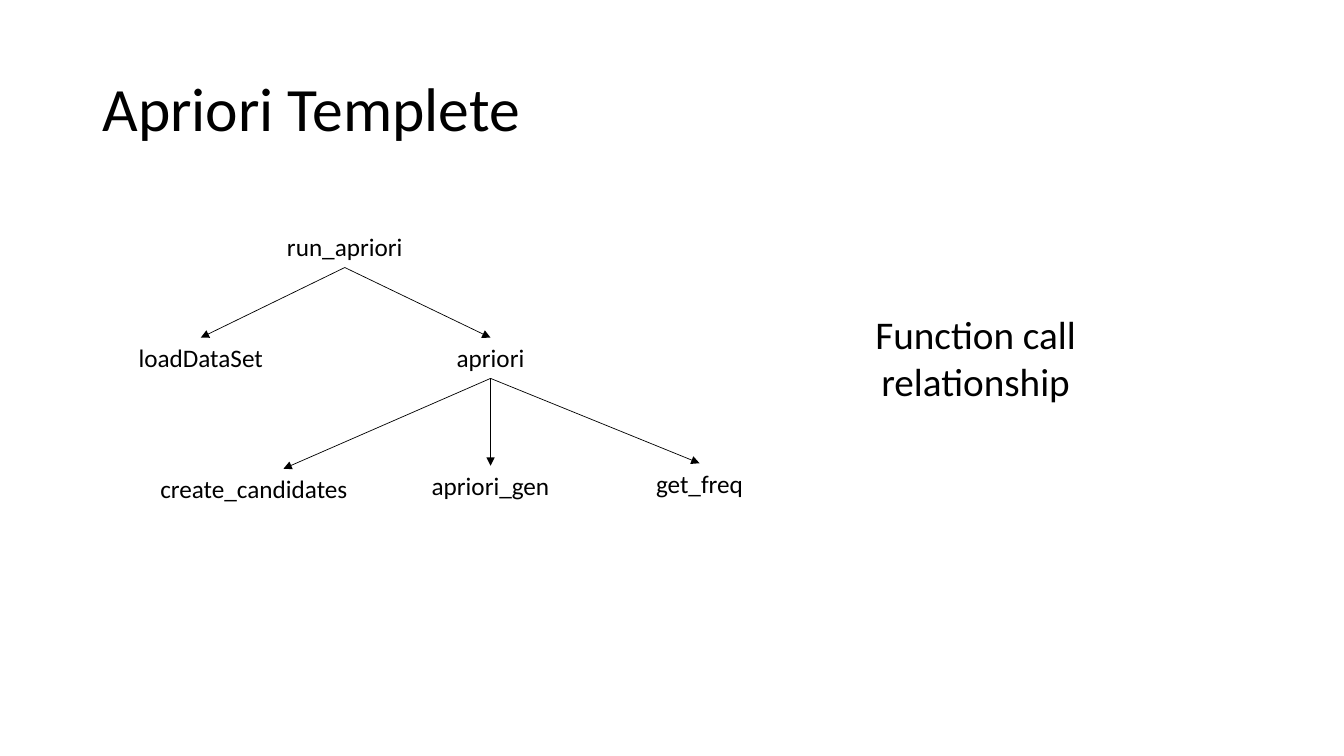
from dataclasses import dataclass

from lxml import etree
from pptx import Presentation
from pptx.dml.color import RGBColor
from pptx.enum.shapes import MSO_CONNECTOR
from pptx.enum.text import MSO_ANCHOR, MSO_AUTO_SIZE, PP_ALIGN
from pptx.oxml.ns import qn
from pptx.util import Inches, Pt

LEFT, CENTER = PP_ALIGN.LEFT, PP_ALIGN.CENTER
TOP, MIDDLE = MSO_ANCHOR.TOP, MSO_ANCHOR.MIDDLE
FIT, FIXED = MSO_AUTO_SIZE.SHAPE_TO_FIT_TEXT, MSO_AUTO_SIZE.NONE
STRAIGHT = MSO_CONNECTOR.STRAIGHT
TITLE_ONLY = 5
TOP_SIDE, BOTTOM_SIDE = 0, 2
COLS, ROWS = 32, 18


@dataclass(frozen=True)
class Theme:
    font: str = "Calibri"
    ink: RGBColor = RGBColor(0, 0, 0)
    paper: RGBColor = RGBColor(255, 255, 255)
    title: int = 44
    note: int = 28
    label: int = 18
    line: float = 0.5


def write(frame, text, theme, size, align=CENTER, anchor=TOP, fit=FIT, lead=None):
    frame.word_wrap = True
    frame.auto_size = fit
    frame.vertical_anchor = anchor
    para = frame.paragraphs[0]
    para.alignment = align
    para.line_spacing = lead
    run = para.add_run()
    run.text = text
    run.font.name = theme.font
    run.font.size = Pt(size)
    run.font.color.rgb = theme.ink


class Board:
    def __init__(self, deck, theme):
        self.theme = theme
        self.col = deck.slide_width / COLS
        self.row = deck.slide_height / ROWS
        self.slide = deck.slides.add_slide(deck.slide_layouts[TITLE_ONLY])
        fill = self.slide.background.fill
        fill.solid()
        fill.fore_color.rgb = theme.paper

    def area(self, x, y, w, h):
        """Turn columns and rows into slide lengths."""
        return (round(x * self.col), round(y * self.row),
                round(w * self.col), round(h * self.row))

    def title(self, text, *cell):
        shape = self.slide.shapes.title
        shape.left, shape.top, shape.width, shape.height = self.area(*cell)
        write(shape.text_frame, text, self.theme, self.theme.title,
              align=LEFT, anchor=MIDDLE, fit=FIXED, lead=0.9)

    def text(self, text, *cell, size, align=CENTER):
        box = self.slide.shapes.add_textbox(*self.area(*cell))
        write(box.text_frame, text, self.theme, size, align=align)
        return box

    def arrow(self, start, end):
        link = self.slide.shapes.add_connector(STRAIGHT, 0, 0, 0, 0)
        link.begin_connect(start, BOTTOM_SIDE)
        link.end_connect(end, TOP_SIDE)
        link.line.color.rgb = self.theme.ink
        link.line.width = Pt(self.theme.line)
        props = link.line._get_or_add_ln()
        etree.SubElement(props, qn("a:tailEnd"), type="triangle")
        etree.SubElement(link._element.spPr, qn("a:effectLst"))


def main():
    deck = Presentation()
    deck.slide_width, deck.slide_height = Inches(13.33), Inches(7.5)
    theme = Theme()
    board = Board(deck, theme)

    # Title
    board.title("Apriori Templete", 2.2, 0.92, 27.6, 3.48)

    # Functions: name, left, top, width, alignment
    names = [
        ("run_apriori", 6.23, 5.4, 3.96, CENTER),
        ("loadDataSet", 2.8, 8.04, 3.96, CENTER),
        ("apriori", 9.7, 8.04, 3.96, CENTER),
        ("create_candidates", 3.58, 11.16, 6.34, LEFT),
        ("get_freq", 14.28, 11.03, 4.75, CENTER),
        ("apriori_gen", 9.7, 11.09, 3.96, CENTER),
    ]
    nodes = {
        name: board.text(name, x, y, w, 0.97, size=theme.label, align=align)
        for name, x, y, w, align in names
    }

    # Calls from each function
    calls = {
        "run_apriori": ["loadDataSet", "apriori"],
        "apriori": ["create_candidates", "apriori_gen", "get_freq"],
    }
    for caller, called in calls.items():
        for name in called:
            board.arrow(nodes[caller], nodes[name])

    # Side note
    board.text("Function call relationship", 19.03, 7.27, 8.4, 2.5, size=theme.note)

    deck.save("out.pptx")


if __name__ == "__main__":
    main()
